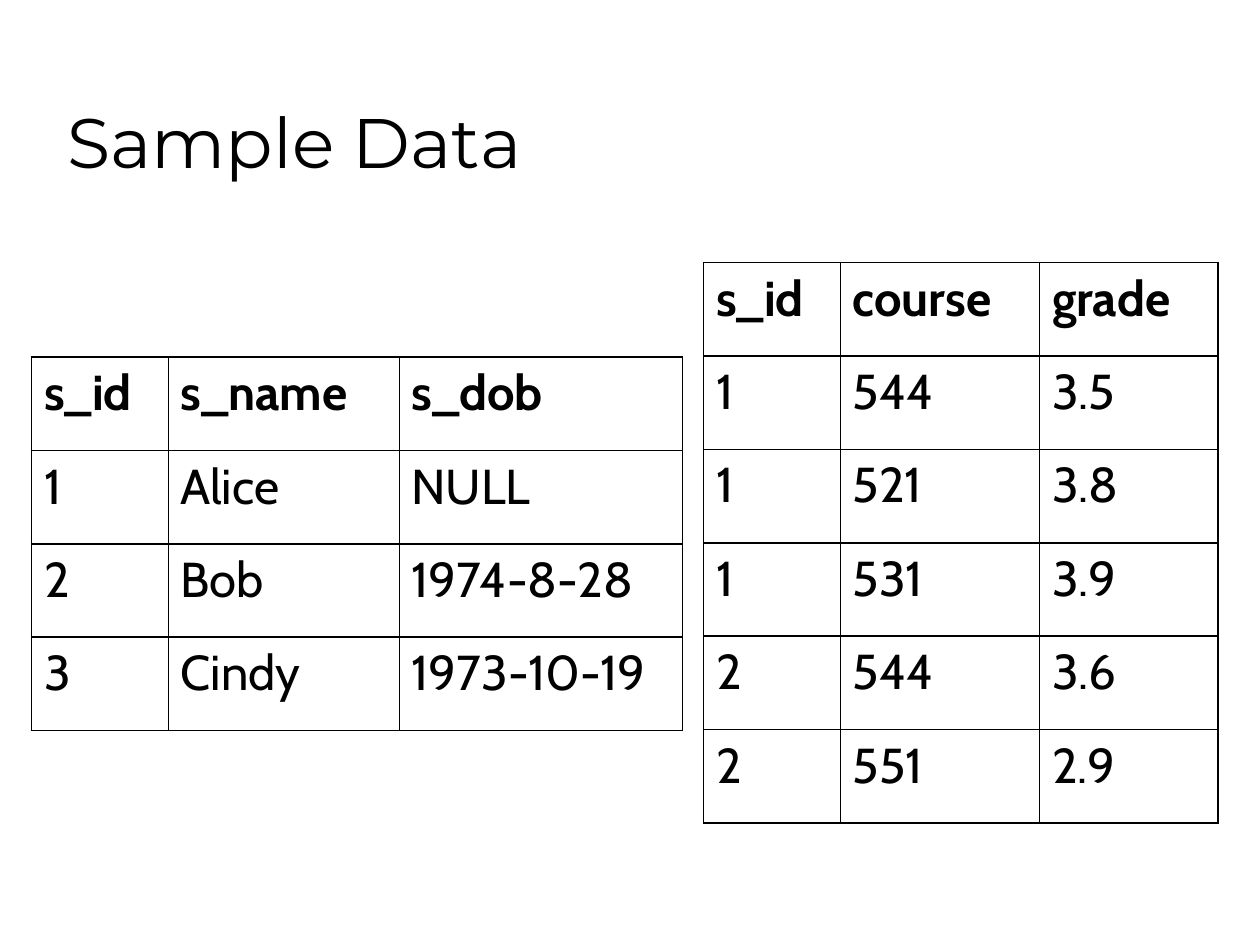
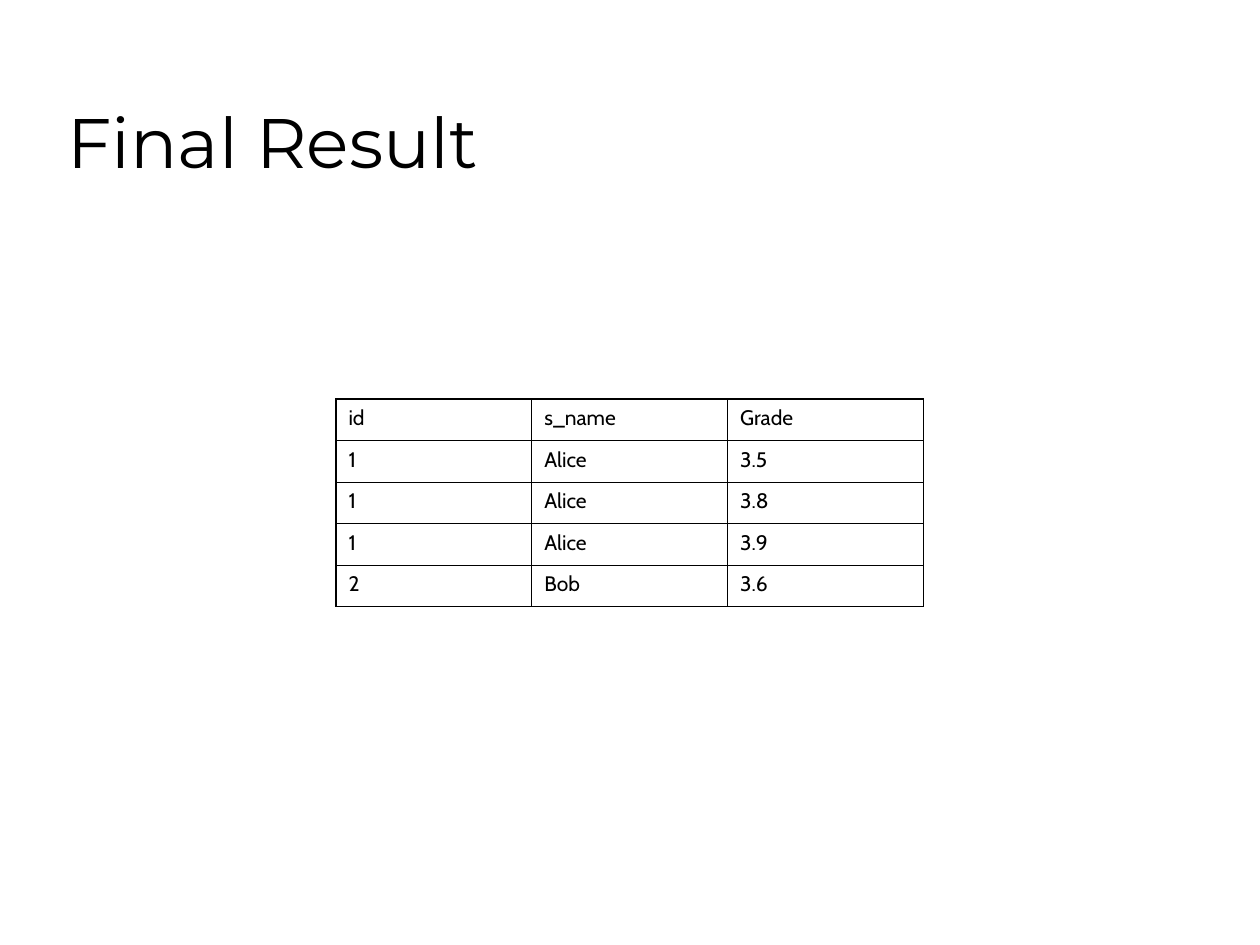
import dataclasses

import lxml.etree
import pptx
import pptx.dml.color
import pptx.enum.text
import pptx.oxml.ns
import pptx.util

EMU_PER_PX = 3810


@dataclasses.dataclass(frozen=True)
class Theme:
    ink: str = "000000"
    paper: str = "FFFFFF"
    title_font: str = "Montserrat"
    body_font: str = "Cabin"
    title_size: int = 40
    sample_size: int = 28
    result_size: int = 12
    thick: float = 1.08
    thin: float = 0.45


THEME = Theme()
TITLE_BOX = (105, 60, 2040, 300)

STUDENTS = [
    ("s_id", "s_name", "s_dob"),
    ("1", "Alice", "NULL"),
    ("2", "Bob", "1974-8-28"),
    ("3", "Cindy", "1973-10-19"),
]
GRADES = [
    ("s_id", "course", "grade"),
    ("1", "544", "3.5"),
    ("1", "521", "3.8"),
    ("1", "531", "3.9"),
    ("2", "544", "3.6"),
    ("2", "551", "2.9"),
]
RESULT = [
    ("id", "s_name", "Grade"),
    ("1", "Alice", "3.5"),
    ("1", "Alice", "3.8"),
    ("1", "Alice", "3.9"),
    ("2", "Bob", "3.6"),
]


def px(length):
    return pptx.util.Emu(length * EMU_PER_PX)


def style_text(para, font_name, size, bold=False):
    for span in para.runs:
        span.font.name = font_name
        span.font.size = pptx.util.Pt(size)
        span.font.bold = bold
        span.font.color.rgb = pptx.dml.color.RGBColor.from_string(THEME.ink)


def add_page(deck, title):
    page = deck.slides.add_slide(deck.slide_layouts[6])
    page.background.fill.solid()
    page.background.fill.fore_color.rgb = pptx.dml.color.RGBColor.from_string(THEME.paper)
    box = page.shapes.add_textbox(*map(px, TITLE_BOX))
    frame = box.text_frame
    frame.word_wrap = True
    frame.vertical_anchor = pptx.enum.text.MSO_ANCHOR.BOTTOM
    frame.text = title
    style_text(frame.paragraphs[0], THEME.title_font, THEME.title_size)
    return page


def set_borders(cell, widths):
    qn = pptx.oxml.ns.qn
    properties = cell._tc.get_or_add_tcPr()
    for position, (side, width) in enumerate(widths.items()):
        line = lxml.etree.Element(qn(f"a:ln{side}"), w=str(pptx.util.Pt(width)))
        fill = lxml.etree.SubElement(line, qn("a:solidFill"))
        lxml.etree.SubElement(fill, qn("a:srgbClr"), val=THEME.ink)
        properties.insert(position, line)


def add_grid(page, left, top, column_widths, row_height, records, size,
             space_before, row_line, bold_header=False):
    row_count, column_count = len(records), len(column_widths)
    table = page.shapes.add_table(
        row_count, column_count, px(left), px(top),
        px(sum(column_widths)), px(row_height * row_count)).table
    table.first_row = table.horz_banding = False
    for column, width in zip(table.columns, column_widths):
        column.width = px(width)
    for r, record in enumerate(records):
        table.rows[r].height = px(row_height)
        for c, value in enumerate(record):
            cell = table.cell(r, c)
            cell.fill.background()
            cell.text_frame.text = value
            para = cell.text_frame.paragraphs[0]
            para.space_before = pptx.util.Pt(space_before)
            style_text(para, THEME.body_font, size, bold_header and r == 0)
            set_borders(cell, {
                "L": THEME.thick if c == 0 else THEME.thin,
                "R": THEME.thick if c == column_count - 1 else THEME.thin,
                "T": THEME.thick if r == 0 else row_line,
                "B": THEME.thick if r == row_count - 1 else row_line,
            })


def add_sample_data(deck):
    page = add_page(deck, "Sample Data")
    look = dict(row_height=178, size=THEME.sample_size, space_before=7,
                row_line=THEME.thick, bold_header=True)
    add_grid(page, 60, 680, (260, 440, 540), records=STUDENTS, **look)
    add_grid(page, 1340, 500, (260, 380, 340), records=GRADES, **look)


def add_final_result(deck):
    page = add_page(deck, "Final Result")
    add_grid(page, 640, 760, (373,) * 3, row_height=79, records=RESULT,
             size=THEME.result_size, space_before=3, row_line=THEME.thin)


def main():
    deck = pptx.Presentation()
    deck.slide_width, deck.slide_height = px(2400), px(1800)
    add_sample_data(deck)
    add_final_result(deck)
    deck.save("out.pptx")


if __name__ == "__main__":
    main()
